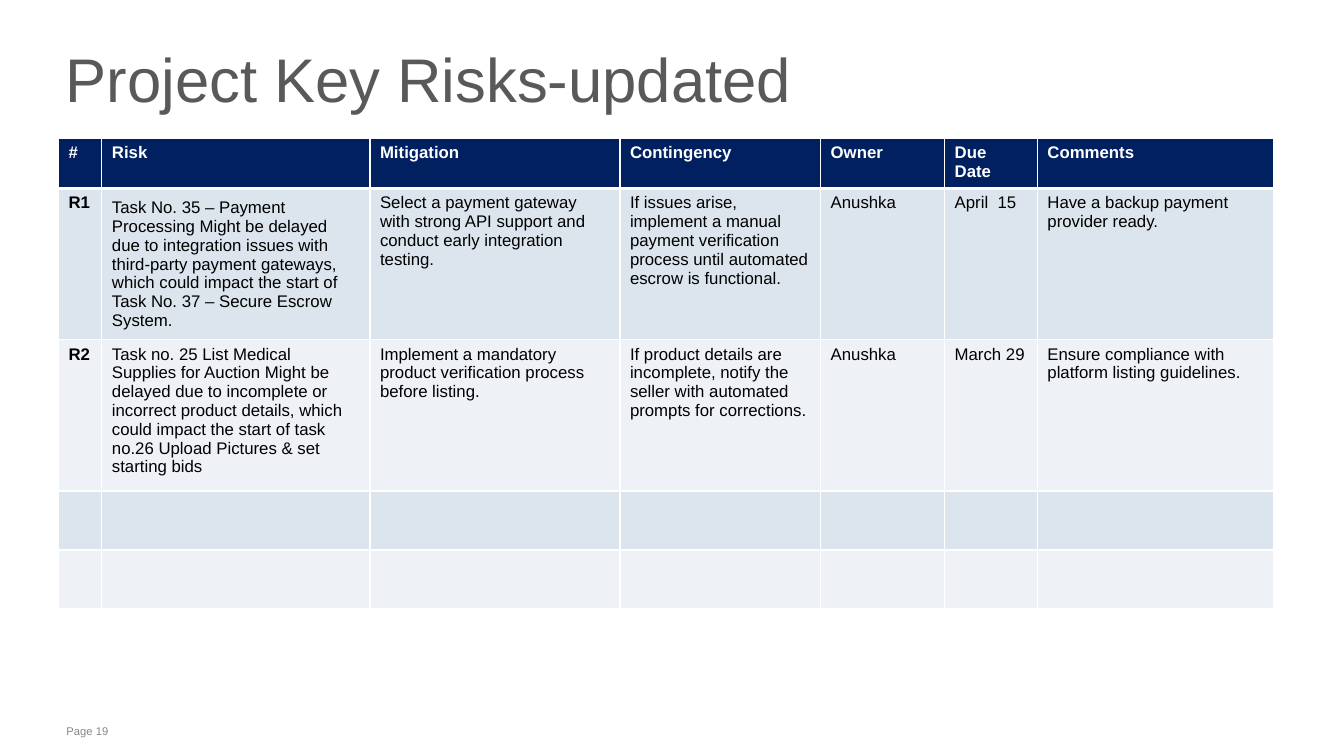
from dataclasses import dataclass

from lxml.etree import SubElement
from pptx import Presentation
from pptx.dml.color import RGBColor
from pptx.enum.text import MSO_ANCHOR as Anchor
from pptx.oxml.ns import qn
from pptx.util import Inches, Pt


@dataclass(frozen=True)
class Theme:
    font: str = "Arial"
    title: str = "595959"
    footer: str = "87888A"
    header: str = "002060"
    bands: tuple = ("DCE5EE", "EEF2F7")
    light: str = "FFFFFF"
    dark: str = "000000"
    title_size: int = 44
    table_size: int = 12
    footer_size: int = 8


THEME = Theme()
WIDTH, HEIGHT = Inches(13.33), Inches(7.5)

HEADERS = ("#", "Risk", "Mitigation", "Contingency", "Owner", "Due Date", "Comments")
RISKS = (
    ("R1",
     "Task No. 35 – Payment Processing Might be delayed due to integration issues with "
     "third-party payment gateways, which could impact the start of "
     "Task No. 37 – Secure Escrow System.",
     "Select a payment gateway with strong API support and conduct early integration testing.",
     "If issues arise, implement a manual payment verification process until automated "
     "escrow is functional.",
     "Anushka", "April  15", "Have a backup payment provider ready."),
    ("R2",
     "Task no. 25 List Medical Supplies for Auction Might be delayed due to incomplete or "
     "incorrect product details, which could impact the start of task no.26 Upload "
     "Pictures & set starting bids",
     "Implement a mandatory product verification process before listing.",
     "If product details are incomplete, notify the seller with automated prompts for "
     "corrections.",
     "Anushka", "March 29", "Ensure compliance with platform listing guidelines."),
)
SPARE_ROWS = 2
COLUMN_SHARES = (3.23, 19.95, 18.6, 14.93, 9.23, 6.9, 17.55)
HEADER_SHARE, RISK_SHARE, SPARE_SHARE = 6.27, 18.8, 7.8


def across(share):
    """Percentage of the slide's width."""
    return int(WIDTH * share / 100)


def down(share):
    """Percentage of the slide's height."""
    return int(HEIGHT * share / 100)


def area(left, top, width, height):
    return across(left), down(top), across(width), down(height)


def write(tf, text, *, size, color, bold=False, spacing=None):
    p = tf.paragraphs[0]
    p.line_spacing = spacing
    r = p.add_run()
    r.text = text
    r.font.name = THEME.font
    r.font.size = Pt(size)
    r.font.bold = bold
    r.font.color.rgb = RGBColor.from_string(color)


def set_borders(cell, bottom):
    """White cell borders; they must precede the fill in the cell's XML."""
    props = cell._tc.get_or_add_tcPr()
    for side, width in (("L", 1), ("R", 1), ("T", 1), ("B", bottom)):
        line = SubElement(props, qn(f"a:ln{side}"), w=str(Pt(width)))
        fill = SubElement(line, qn("a:solidFill"))
        SubElement(fill, qn("a:srgbClr"), val=THEME.light)


def style_cell(cell, text, *, fill, color, bold, bottom=1):
    set_borders(cell, bottom)
    cell.fill.solid()
    cell.fill.fore_color.rgb = RGBColor.from_string(fill)
    if text:
        write(cell.text_frame, text, size=THEME.table_size, color=color, bold=bold)


def add_title(s, text):
    sp = s.shapes.title
    sp.left, sp.top, sp.width, sp.height = area(4.28, 3.47, 82, 15.87)
    tf = sp.text_frame
    tf.word_wrap = True
    tf.vertical_anchor = Anchor.MIDDLE
    tf.margin_left = tf.margin_right = Inches(0.08)
    tf.margin_top = tf.margin_bottom = 0
    write(tf, text, size=THEME.title_size, color=THEME.title, spacing=0.75)
    tf.paragraphs[0].alignment = 1


def add_footer(s, text):
    tf = s.shapes.add_textbox(*area(4.35, 95.2, 80.95, 3.2)).text_frame
    tf.word_wrap = True
    tf.margin_left = tf.margin_right = Inches(0.08)
    write(tf, text, size=THEME.footer_size, color=THEME.footer)


def add_risk_table(s):
    blank = ("",) * len(HEADERS)
    rows = (HEADERS, *RISKS, *[blank] * SPARE_ROWS)
    row_shares = (HEADER_SHARE, *[RISK_SHARE] * len(RISKS), *[SPARE_SHARE] * SPARE_ROWS)
    place = area(4.35, 18.27, sum(COLUMN_SHARES), sum(row_shares))
    table = s.shapes.add_table(len(rows), len(HEADERS), *place).table
    table.horz_banding = False
    for column, share in zip(table.columns, COLUMN_SHARES):
        column.width = across(share)
    for i, (values, share) in enumerate(zip(rows, row_shares)):
        table.rows[i].height = down(share)
        for j, text in enumerate(values):
            cell = table.cell(i, j)
            if i == 0:
                style_cell(cell, text, fill=THEME.header, color=THEME.light,
                           bold=True, bottom=3)
            else:
                style_cell(cell, text, fill=THEME.bands[(i - 1) % 2],
                           color=THEME.dark, bold=j == 0)
    table.cell(1, 1).vertical_anchor = Anchor.MIDDLE


def main():
    prs = Presentation()
    prs.slide_width, prs.slide_height = WIDTH, HEIGHT
    s = prs.slides.add_slide(prs.slide_layouts.get_by_name("Title Only"))
    add_footer(s, "Page 19")
    add_title(s, "Project Key Risks-updated")
    add_risk_table(s)
    prs.save("out.pptx")


if __name__ == "__main__":
    main()
